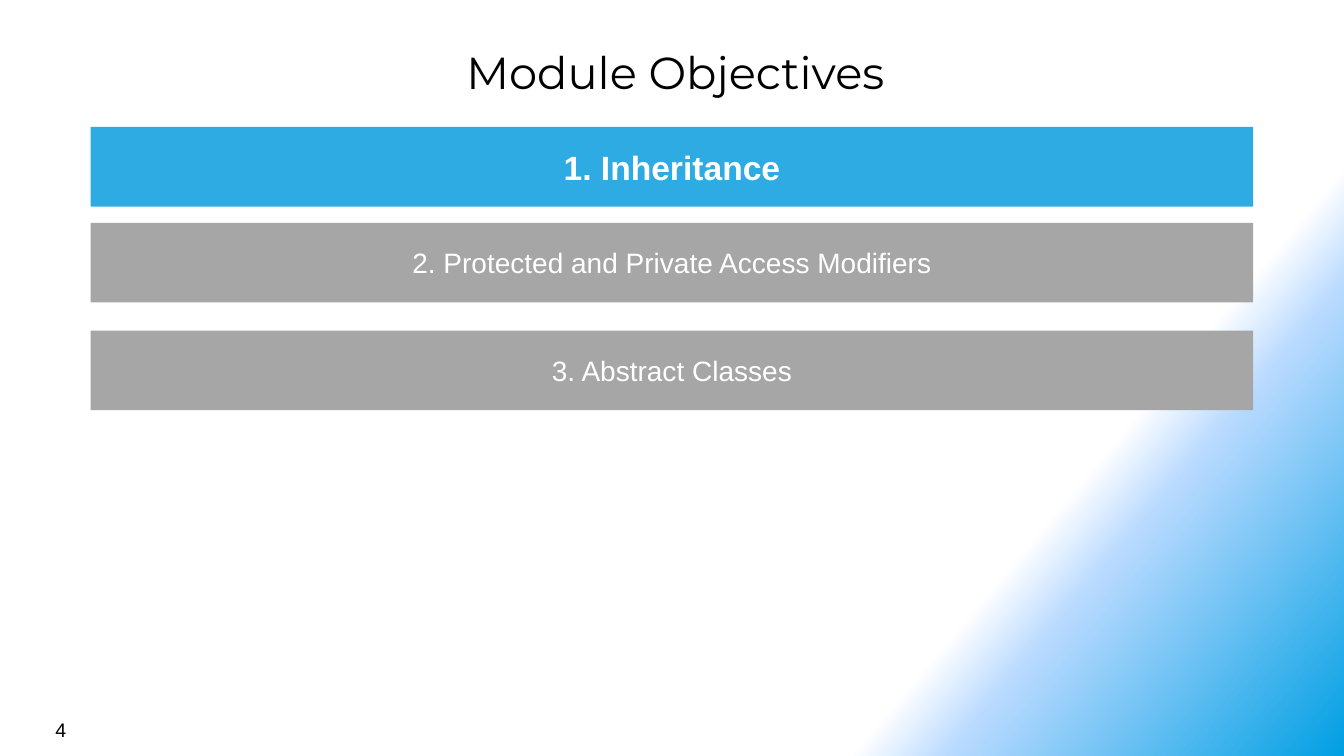
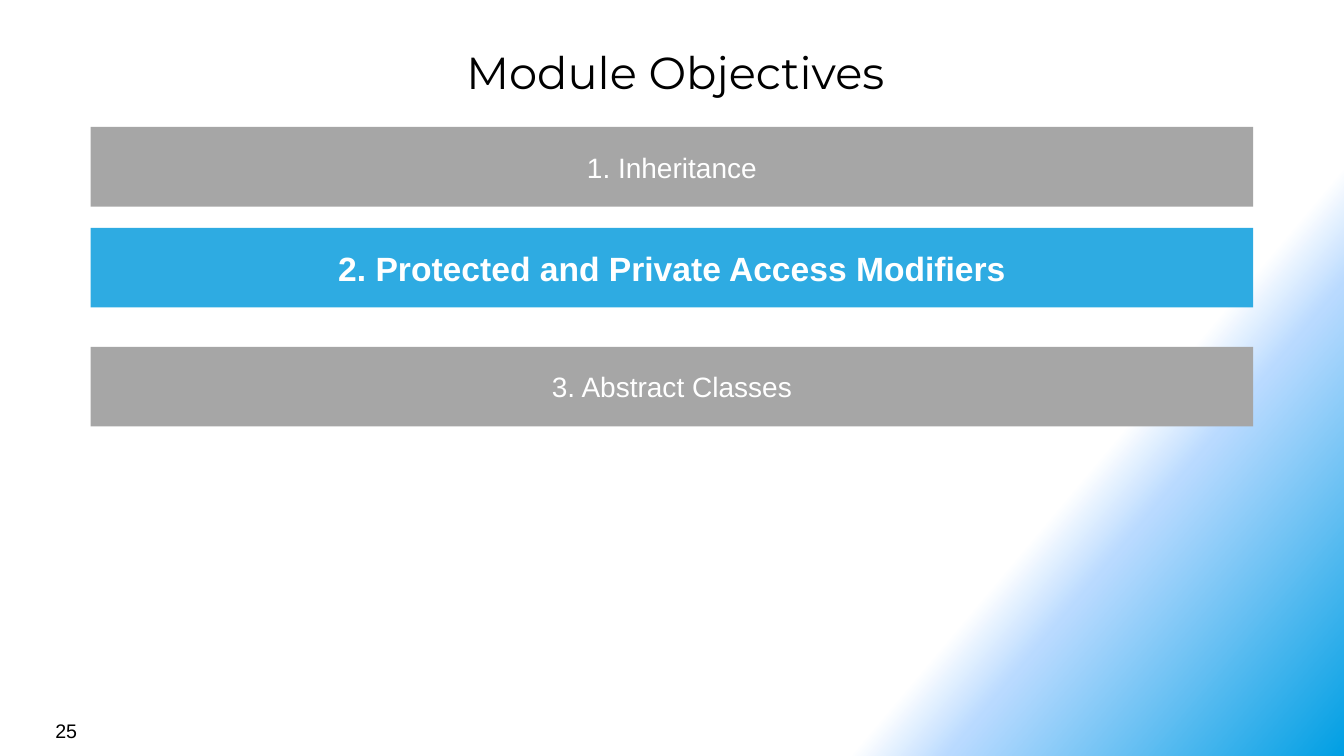
from copy import deepcopy
from dataclasses import dataclass

from pptx import Presentation
from pptx.dml.color import RGBColor
from pptx.enum.shapes import MSO_SHAPE
from pptx.enum.text import MSO_ANCHOR, MSO_AUTO_SIZE, PP_ALIGN
from pptx.oxml.ns import qn
from pptx.presentation import Presentation as Deck
from pptx.shapes.autoshape import Shape
from pptx.slide import Slide, SlideMaster
from pptx.util import Inches, Pt

RECTANGLE = MSO_SHAPE.RECTANGLE
MIDDLE, TOP = MSO_ANCHOR.MIDDLE, MSO_ANCHOR.TOP
CENTER, LEFT = PP_ALIGN.CENTER, PP_ALIGN.LEFT
FIT_SHAPE, FIXED = MSO_AUTO_SIZE.SHAPE_TO_FIT_TEXT, MSO_AUTO_SIZE.NONE

BLACK = RGBColor(0x00, 0x00, 0x00)
WHITE = RGBColor(0xFF, 0xFF, 0xFF)
PALE_BLUE = RGBColor(0xB9, 0xDA, 0xFF)
DEEP_BLUE = RGBColor(0x00, 0x9F, 0xE3)
ACTIVE_BLUE = RGBColor(0x2E, 0xAB, 0xE2)
INACTIVE_GRAY = RGBColor(0xA6, 0xA6, 0xA6)

GRADIENT = ((0.75, WHITE), (0.8, PALE_BLUE), (1.0, DEEP_BLUE))
GRADIENT_ANGLE = 320

TITLE = "Module Objectives"
OBJECTIVES = (
    "1. Inheritance",
    "2. Protected and Private Access Modifiers",
    "3. Abstract Classes",
)

TITLE_FONT = {"name": "Montserrat", "size": Pt(32), "color": BLACK}
NUMBER_FONT = {"name": "Arial", "size": Pt(14), "color": BLACK}
INACTIVE_FONT = {"name": "Arial", "size": Pt(20), "color": WHITE}
ACTIVE_FONT = {"name": "Arial", "size": Pt(24), "bold": True, "color": WHITE}

TITLE_FRAME = {"word_wrap": True, "vertical_anchor": MIDDLE, "auto_size": FIT_SHAPE}
NUMBER_FRAME = {"word_wrap": True, "vertical_anchor": TOP, "auto_size": FIXED}
BAR_FRAME = {"word_wrap": True, "vertical_anchor": MIDDLE}


@dataclass(frozen=True)
class Box:
    left: float
    top: float
    width: float
    height: float

    def lengths(self) -> list[Inches]:
        return [Inches(value) for value in (self.left, self.top, self.width, self.height)]


@dataclass(frozen=True)
class ObjectivesSlide:
    number: str
    number_top: float
    active: int
    bar_tops: tuple[float, ...]


SLIDES = (
    ObjectivesSlide("4", 7.07, 0, (1.26, 2.21, 3.28)),
    ObjectivesSlide("25", 7.08, 1, (1.26, 2.26, 3.44)),
)


def write_text(shape: Shape, text: str, font: dict, frame: dict, alignment: PP_ALIGN) -> None:
    for name, value in frame.items():
        setattr(shape.text_frame, name, value)
    paragraph = shape.text_frame.paragraphs[0]
    paragraph.alignment = alignment
    run = paragraph.add_run()
    run.text = text
    for name, value in font.items():
        if name == "color":
            run.font.color.rgb = value
        else:
            setattr(run.font, name, value)


def add_text(
    slide: Slide, box: Box, text: str, font: dict, frame: dict, alignment: PP_ALIGN
) -> None:
    shape = slide.shapes.add_textbox(*box.lengths())
    write_text(shape, text, font, frame, alignment)


def add_bar(slide: Slide, top: float, text: str, active: bool) -> None:
    shape = slide.shapes.add_shape(RECTANGLE, *Box(0.9, top, 11.53, 0.79).lengths())
    shape.shadow.inherit = False
    shape.fill.solid()
    shape.fill.fore_color.rgb = ACTIVE_BLUE if active else INACTIVE_GRAY
    shape.line.fill.background()
    write_text(shape, text, ACTIVE_FONT if active else INACTIVE_FONT, BAR_FRAME, CENTER)


def set_background(master: SlideMaster) -> None:
    fill = master.background.fill
    fill.gradient()
    fill.gradient_angle = GRADIENT_ANGLE
    stop_list = master.element.find(".//" + qn("a:gsLst"))
    stop_list.append(deepcopy(stop_list[0]))
    for stop, (position, color) in zip(fill.gradient_stops, GRADIENT):
        stop.position = position
        stop.color.rgb = color


def add_objectives_slide(presentation: Deck, content: ObjectivesSlide) -> None:
    slide = presentation.slides.add_slide(presentation.slide_layouts[6])
    add_text(slide, Box(0.67, 0.39, 12.06, 0.64), TITLE, TITLE_FONT, TITLE_FRAME, CENTER)
    for index, (top, text) in enumerate(zip(content.bar_tops, OBJECTIVES)):
        add_bar(slide, top, text, index == content.active)
    number_box = Box(0.45, content.number_top, 3.11, 0.33)
    add_text(slide, number_box, content.number, NUMBER_FONT, NUMBER_FRAME, LEFT)


def main() -> None:
    presentation = Presentation()
    presentation.slide_width = Inches(13.33)
    presentation.slide_height = Inches(7.5)
    set_background(presentation.slide_master)
    for content in SLIDES:
        add_objectives_slide(presentation, content)
    presentation.save("out.pptx")


if __name__ == "__main__":
    main()
